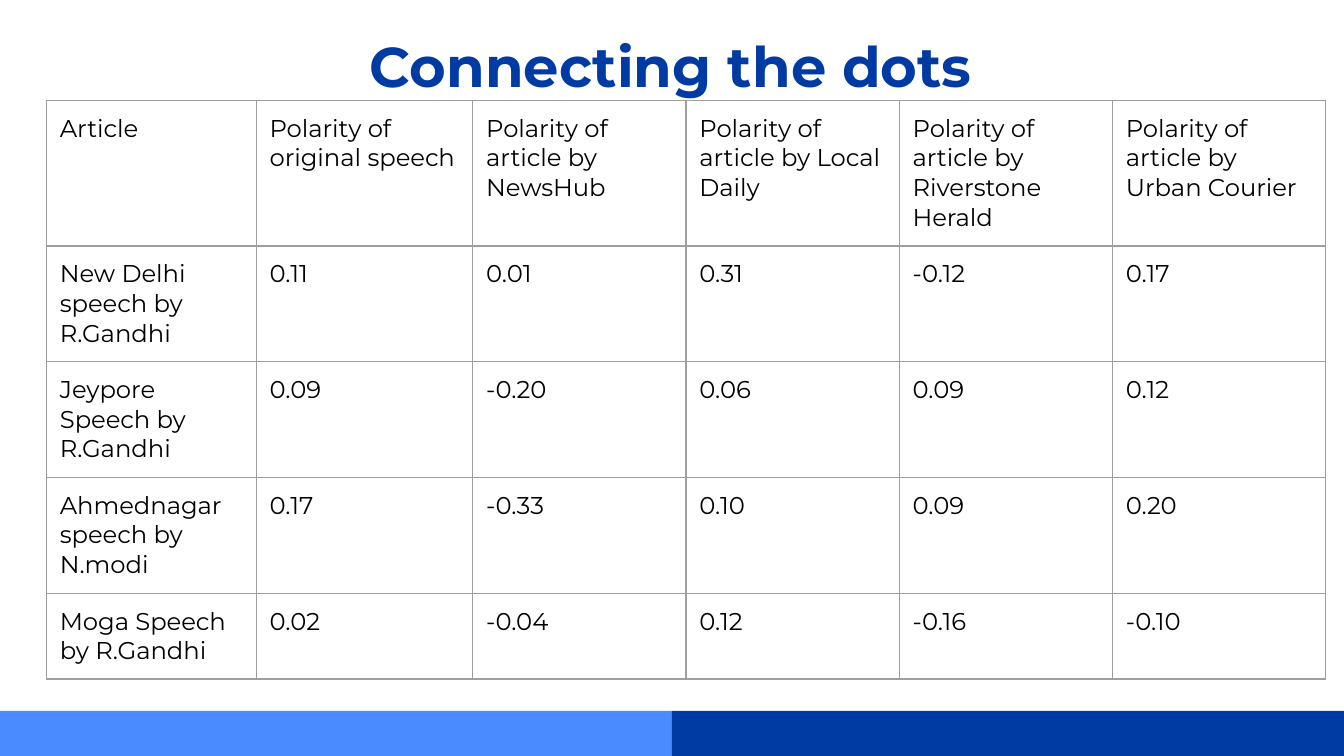
from dataclasses import dataclass

from lxml import etree
from pptx import Presentation
from pptx.dml.color import RGBColor
from pptx.enum import shapes, text
from pptx.oxml import ns
from pptx.util import Pt


@dataclass(frozen=True)
class Theme:
    font: str = "Montserrat"
    navy: str = "003BA3"
    sky: str = "4A8CFF"
    ink: str = "000000"
    rule: str = "9E9E9E"
    title_size: float = 30
    cell_size: float = 13
    rule_width: float = 0.75
    inset: float = 7.2


THEME = Theme()
SLIDE_W, SLIDE_H = 720, 405
COLUMN_WIDTHS = [112.4, 116] + [114.25] * 4
ROW_HEIGHTS = [78, 62, 62, 62, 46]
OUTLETS = ["NewsHub", "Local Daily", "Riverstone Herald", "Urban Courier"]
POLARITIES = [
    ["Article", "Polarity of original speech"]
    + [f"Polarity of article by {outlet}" for outlet in OUTLETS],
    ["New Delhi speech by R.Gandhi", "0.11", "0.01", "0.31", "-0.12", "0.17"],
    ["Jeypore Speech by R.Gandhi", "0.09", "-0.20", "0.06", "0.09", "0.12"],
    ["Ahmednagar speech by N.modi", "0.17", "-0.33", "0.10", "0.09", "0.20"],
    ["Moga Speech by R.Gandhi", "0.02", "-0.04", "0.12", "-0.16", "-0.10"],
]


def write(paragraph, words, size, color, bold=False):
    run = paragraph.add_run()
    run.text = words
    run.font.name = THEME.font
    run.font.size = Pt(size)
    run.font.bold = bold
    run.font.color.rgb = RGBColor.from_string(color)


def set_insets(holder):
    holder.margin_left = holder.margin_right = Pt(THEME.inset)
    holder.margin_top = holder.margin_bottom = Pt(THEME.inset)


def draw_borders(cell):
    """Rule all four sides; lines must come before any fill in tcPr."""
    properties = cell._tc.get_or_add_tcPr()
    for position, side in enumerate(("lnL", "lnR", "lnT", "lnB")):
        line = etree.Element(ns.qn(f"a:{side}"), w=str(Pt(THEME.rule_width)))
        fill = etree.SubElement(line, ns.qn("a:solidFill"))
        etree.SubElement(fill, ns.qn("a:srgbClr"), val=THEME.rule)
        properties.insert(position, line)


def add_footer(slide, left, top, width, height):
    half = width / 2
    for index, color in enumerate((THEME.sky, THEME.navy)):
        band = slide.shapes.add_shape(
            shapes.MSO_SHAPE.RECTANGLE,
            Pt(left + index * half), Pt(top), Pt(half), Pt(height))
        band.shadow.inherit = False
        band.fill.solid()
        band.fill.fore_color.rgb = RGBColor.from_string(color)
        band.line.fill.background()


def add_title(slide, left, top, width, height):
    title = slide.shapes.add_textbox(Pt(left), Pt(top), Pt(width), Pt(height))
    frame = title.text_frame
    frame.word_wrap = True
    frame.vertical_anchor = text.MSO_ANCHOR.TOP
    set_insets(frame)
    heading = frame.paragraphs[0]
    heading.alignment = text.PP_ALIGN.CENTER
    write(heading, "Connecting the dots", THEME.title_size, THEME.navy, bold=True)


def add_polarity_table(slide, left, top, width, height):
    table = slide.shapes.add_table(
        len(POLARITIES), len(COLUMN_WIDTHS),
        Pt(left), Pt(top), Pt(width), Pt(height)).table
    table.first_row = table.horz_banding = False
    for column, column_width in zip(table.columns, COLUMN_WIDTHS):
        column.width = Pt(column_width)
    for row, row_height, entries in zip(table.rows, ROW_HEIGHTS, POLARITIES):
        row.height = Pt(row_height)
        for cell, entry in zip(row.cells, entries):
            set_insets(cell)
            cell.fill.background()
            draw_borders(cell)
            write(cell.text_frame.paragraphs[0], entry, THEME.cell_size, THEME.ink)


def main():
    deck = Presentation()
    deck.slide_width, deck.slide_height = Pt(SLIDE_W), Pt(SLIDE_H)
    slide = deck.slides.add_slide(deck.slide_layouts[6])
    # Two-colour band along the bottom edge
    add_footer(slide, 0, 380.8, SLIDE_W, SLIDE_H - 380.8)
    # Heading
    add_title(slide, 56, 9.5, 607, 45.4)
    # Polarity of each speech and its coverage
    add_polarity_table(slide, 24.9, 53.8, sum(COLUMN_WIDTHS), sum(ROW_HEIGHTS))
    deck.save("out.pptx")


if __name__ == "__main__":
    main()
